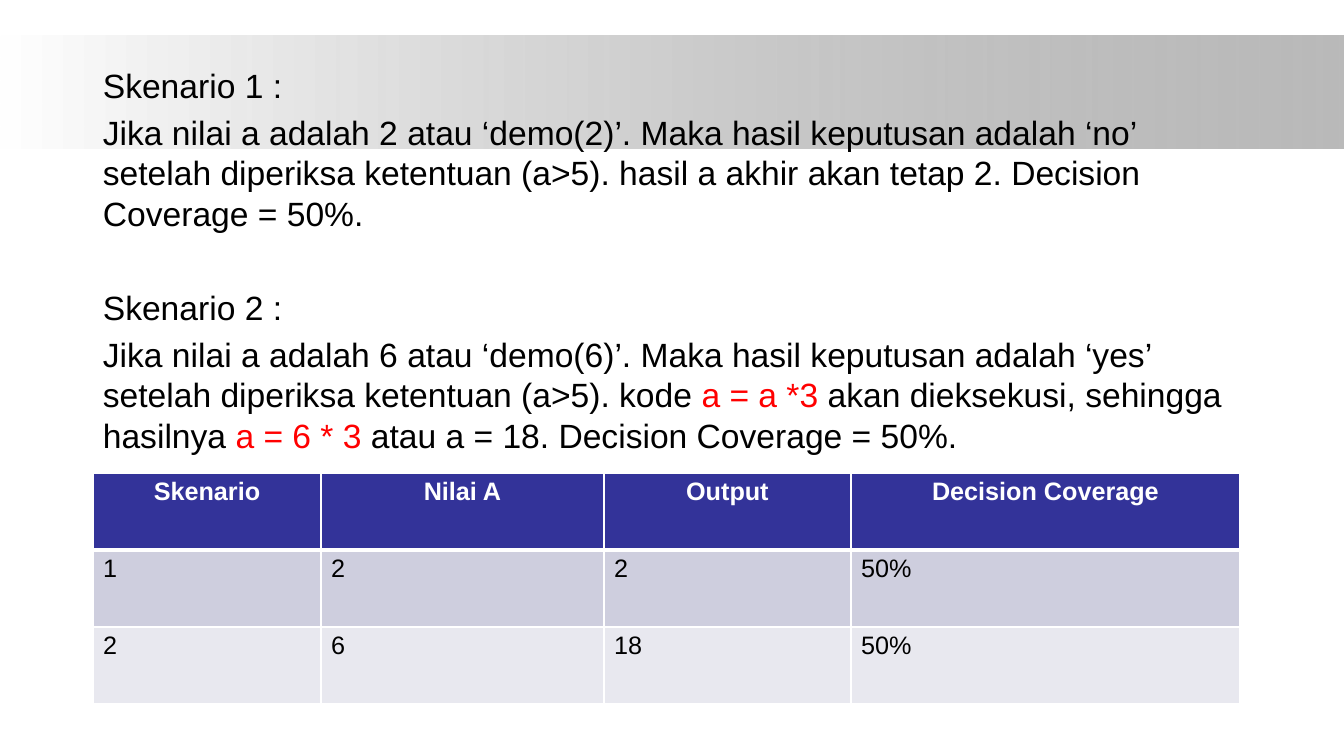
from dataclasses import dataclass

from lxml import etree
from pptx import Presentation
from pptx.dml.color import RGBColor
from pptx.enum.shapes import MSO_SHAPE
from pptx.enum.text import PP_ALIGN
from pptx.oxml.ns import qn
from pptx.util import Pt

RECT = MSO_SHAPE.RECTANGLE
LEFT, CENTER = PP_ALIGN.LEFT, PP_ALIGN.CENTER
SCALE = 914400 / 100.8


@dataclass(frozen=True)
class Theme:
    """Colours and type sizes of the slide."""
    font: str = "Arial"
    body: int = 24
    cell: int = 18
    gap: float = 4.8
    block: float = 38.4
    ink: str = "000000"
    mark: str = "FF0000"
    white: str = "FFFFFF"
    band: str = "808080"
    alpha: int = 54
    head: str = "333399"
    rows: tuple = ("CECEDE", "E8E8EF")


THEME = Theme()

STORY = [
    (THEME.gap, ["Skenario 1 :"]),
    (THEME.gap, ["Jika nilai a adalah 2 atau ‘demo(2)’. Maka hasil keputusan "
                 "adalah ‘no’ setelah diperiksa ketentuan (a>5). hasil a akhir "
                 "akan tetap 2. Decision Coverage = 50%."]),
    (THEME.block, ["Skenario 2 :"]),
    (THEME.gap, ["Jika nilai a adalah 6 atau ‘demo(6)’. Maka hasil keputusan "
                 "adalah ‘yes’ setelah diperiksa ketentuan (a>5). kode ",
                 "a = a *3", " akan dieksekusi, sehingga hasilnya ",
                 "a = 6 * 3", " atau a = 18. Decision Coverage = 50%."]),
]
GRID = [
    ["Skenario", "Nilai A", "Output", "Decision Coverage"],
    ["1", "2", "2", "50%"],
    ["2", "6", "18", "50%"],
]
COLS = [228, 283, 247, 389]
ROW = 77


def px(*sizes):
    """Turn pixels into EMU."""
    return [round(size * SCALE) for size in sizes]


def style(run, size, color, bold=False):
    """Set the font of a run."""
    font = run.font
    font.name, font.size, font.bold = THEME.font, Pt(size), bold
    font.color.rgb = RGBColor.from_string(color)


def add_band(slide, *box):
    """Draw the fading band."""
    band = slide.shapes.add_shape(RECT, *px(*box))
    band.shadow.inherit = False
    band.line.fill.background()
    band.fill.gradient()
    band.fill.gradient_angle = 0
    for stop, color in zip(band.fill.gradient_stops, (THEME.white, THEME.band)):
        stop.color.rgb = RGBColor.from_string(color)
    tint = band._element.findall(".//" + qn("a:srgbClr"))[-1]
    etree.SubElement(tint, qn("a:alpha"), val=str(THEME.alpha * 1000))


def add_story(slide, *box):
    """Write the paragraphs, with every second run marked."""
    frame = slide.shapes.add_textbox(*px(*box)).text_frame
    frame.word_wrap = True
    for i, (space, parts) in enumerate(STORY):
        para = frame.add_paragraph() if i else frame.paragraphs[0]
        para.space_before = Pt(space)
        for j, part in enumerate(parts):
            run = para.add_run()
            run.text = part
            style(run, THEME.body, THEME.mark if j % 2 else THEME.ink)


def add_edges(cell, top, bottom):
    """Draw white borders round a cell."""
    props = cell._tc.get_or_add_tcPr()
    widths = {"lnL": 1, "lnR": 1, "lnT": top, "lnB": bottom}
    for i, (tag, width) in enumerate(widths.items()):
        line = etree.Element(qn("a:" + tag), w=str(Pt(width)))
        fill = etree.SubElement(line, qn("a:solidFill"))
        etree.SubElement(fill, qn("a:srgbClr"), val=THEME.white)
        props.insert(i, line)


def add_grid(slide, left, top):
    """Build the table of scenarios."""
    box = px(left, top, sum(COLS), ROW * len(GRID))
    table = slide.shapes.add_table(len(GRID), len(COLS), *box).table
    for col, width in zip(table.columns, px(*COLS)):
        col.width = width
    for i, texts in enumerate(GRID):
        head = i == 0
        table.rows[i].height = px(ROW)[0]
        for j, text in enumerate(texts):
            cell = table.cell(i, j)
            cell.text = text
            cell.fill.solid()
            color = THEME.head if head else THEME.rows[(i - 1) % 2]
            cell.fill.fore_color.rgb = RGBColor.from_string(color)
            para = cell.text_frame.paragraphs[0]
            para.alignment = CENTER if head else LEFT
            ink = THEME.white if head else THEME.ink
            style(para.runs[0], THEME.cell, ink, head)
            add_edges(cell, 3 if i == 1 else 1, 3 if head else 1)


def main():
    """Build and save the slide."""
    deck = Presentation()
    deck.slide_width, deck.slide_height = px(1344, 756)
    slide = deck.slides.add_slide(deck.slide_layouts[6])
    add_band(slide, 0, 36, 1344, 113)
    add_story(slide, 93, 60, 1159, 620)
    add_grid(slide, 93, 473)
    deck.save("out.pptx")


main()
